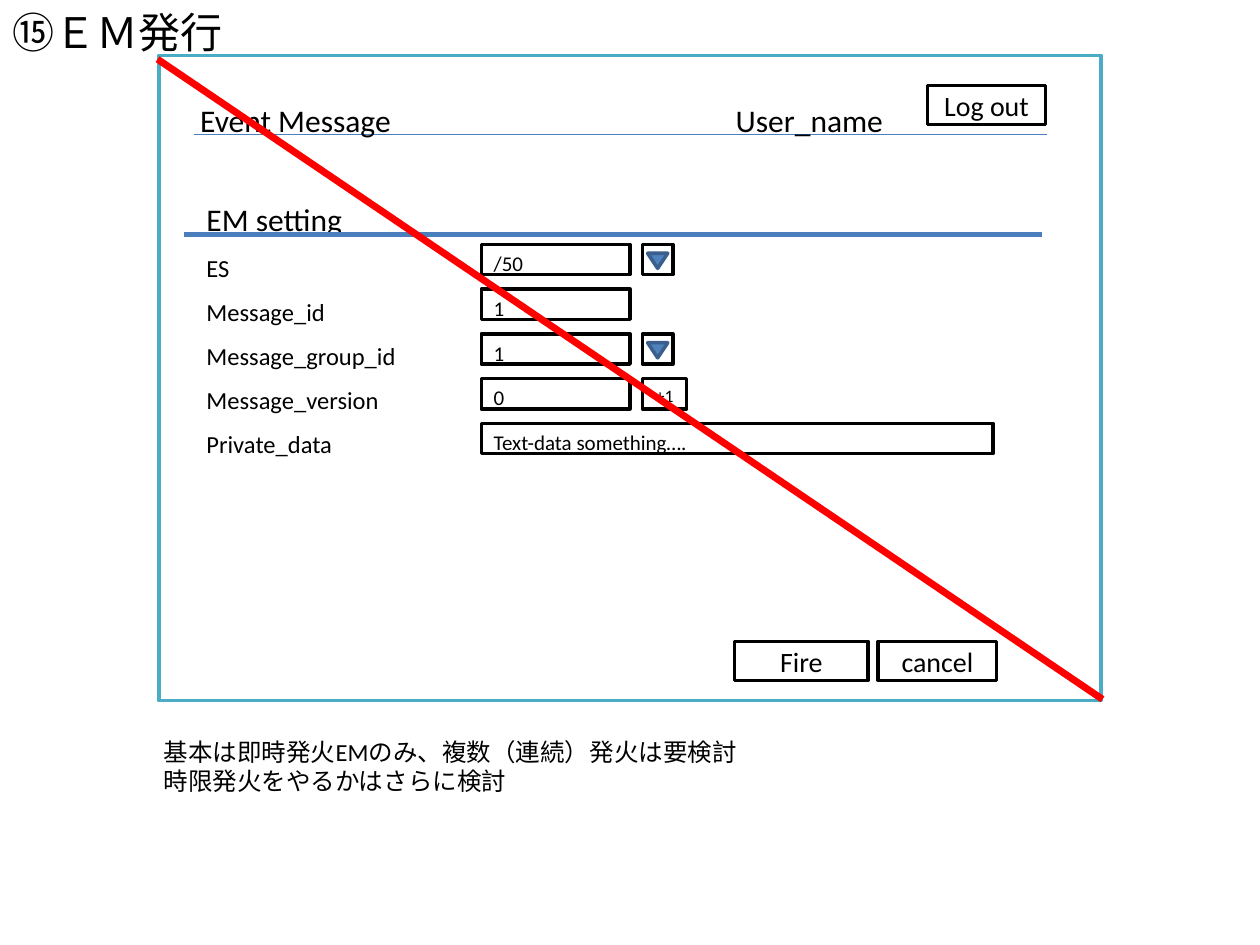
import pptx
import pptx.dml.color
import pptx.enum.shapes
import pptx.enum.text
import pptx.oxml.ns
import pptx.util
from lxml import etree

Inches = pptx.util.Inches
RGBColor = pptx.dml.color.RGBColor
SHAPE = pptx.enum.shapes.MSO_SHAPE
ALIGN = pptx.enum.text.PP_ALIGN
ANCHOR = pptx.enum.text.MSO_ANCHOR
AUTO = pptx.enum.text.MSO_AUTO_SIZE

BLACK = RGBColor(0x00, 0x00, 0x00)
WHITE = RGBColor(0xFF, 0xFF, 0xFF)
TEAL = RGBColor(0x4B, 0xAC, 0xC6)
RULE = RGBColor(0x4B, 0x7E, 0xBC)
BLUE = RGBColor(0x4F, 0x81, 0xBD)
NAVY = RGBColor(0x3A, 0x5F, 0x8C)
RED = RGBColor(0xFF, 0x00, 0x00)


class Screen:
    """Draw the parts of a screen mock-up on one slide."""

    def __init__(self, prs):
        self.s = prs.slides.add_slide(prs.slide_layouts[5])
        self.font = "Calibri"

    def set_text(self, tf, lines, sizes, align=ALIGN.LEFT, spacing=None):
        tf.text = "\n".join(lines)
        for p, size in zip(tf.paragraphs, sizes):
            p.alignment = align
            if spacing:
                p.line_spacing = spacing
            for r in p.runs:
                r.font.name = self.font
                r.font.size = pptx.util.Pt(size)
                r.font.color.rgb = BLACK

    def title(self, text, x, y, w, h):
        sp = self.s.shapes.title
        sp.left, sp.top, sp.width, sp.height = map(Inches, (x, y, w, h))
        tf = sp.text_frame
        tf.auto_size = AUTO.NONE
        tf.vertical_anchor = ANCHOR.TOP
        self.set_text(tf, [text], [24])

    def text(self, lines, sizes, x, y, w, h, wrap=True, spacing=None):
        tf = self.s.shapes.add_textbox(*map(Inches, (x, y, w, h))).text_frame
        tf.word_wrap = wrap
        tf.auto_size = AUTO.SHAPE_TO_FIT_TEXT
        self.set_text(tf, lines, sizes, spacing=spacing)

    def box(self, x, y, w, h, kind=SHAPE.RECTANGLE, fill=WHITE, line=BLACK):
        sp = self.s.shapes.add_shape(kind, *map(Inches, (x, y, w, h)))
        sp.shadow.inherit = False
        sp.fill.solid()
        sp.fill.fore_color.rgb = fill
        sp.line.color.rgb = line
        sp.line.width = pptx.util.Pt(2)
        return sp

    def button(self, text, x, y, w, h=0.31, size=16, anchor=ANCHOR.MIDDLE):
        tf = self.box(x, y, w, h).text_frame
        tf.vertical_anchor = anchor
        self.set_text(tf, [text], [size], ALIGN.CENTER)

    def field(self, text, y, w=1.18):
        tf = self.box(3.82, y, w, 0.24).text_frame
        tf.vertical_anchor = ANCHOR.TOP
        self.set_text(tf, [text], [12])

    def dropdown(self, y):
        self.box(5.1, y, 0.24, 0.24)
        self.box(5.14, y + 0.07, 0.16, 0.12, SHAPE.FLOWCHART_MERGE, BLUE, NAVY)

    def line(self, x1, y1, x2, y2, color, width):
        c = self.s.shapes.add_connector(
            pptx.enum.shapes.MSO_CONNECTOR.STRAIGHT, *map(Inches, (x1, y1, x2, y2)))
        c.line.color.rgb = color
        c.line.width = pptx.util.Pt(width)
        etree.SubElement(c.element.spPr, pptx.oxml.ns.qn("a:effectLst"))


def main():
    prs = pptx.Presentation()
    prs.slide_width, prs.slide_height = Inches(10), Inches(7.5)
    screen = Screen(prs)
    screen.title("⑮ＥＭ発行", 0, 0, 10, 0.6)
    screen.box(1.26, 0.44, 7.48, 5.12, line=TEAL)

    screen.line(1.54, 1.07, 8.31, 1.07, RULE, 0.75)
    screen.button("Log out", 7.36, 0.68, 0.94)
    for text, x, w in (("Event Message", 1.49, 1.73), ("User_name", 5.74, 1.38)):
        screen.text([text], [18], x, 0.6, w, 0.51, wrap=False, spacing=1.5)

    labels = ["EM setting", "ES", "Message_id", "Message_group_id",
              "Message_version", "Private_data"]
    screen.text(labels, [18] + [14] * 5, 1.54, 1.39, 4.17, 2.32, spacing=1.5)
    screen.line(1.46, 1.86, 8.27, 1.86, RULE, 3)

    rows = [1.94 + 0.355 * i for i in range(5)]
    for y, value in zip(rows, ("/50", "1", "1", "0")):
        screen.field(value, y)
    screen.field("Text-data something….", rows[4], 4.06)
    for y in (rows[0], rows[2]):
        screen.dropdown(y)
    screen.button("+1", 5.1, rows[3], 0.35, 0.24, 10, ANCHOR.TOP)

    screen.button("cancel", 6.97, 5.09, 0.94)
    screen.button("Fire", 5.83, 5.09, 1.06)
    notes = ["基本は即時発火EMのみ、複数（連続）発火は要検討",
             "時限発火をやるかはさらに検討"]
    screen.text(notes, [14, 14], 1.2, 5.8, 8.29, 0.57)
    screen.line(1.25, 0.47, 8.75, 5.55, RED, 4)
    prs.save("out.pptx")


if __name__ == "__main__":
    main()
